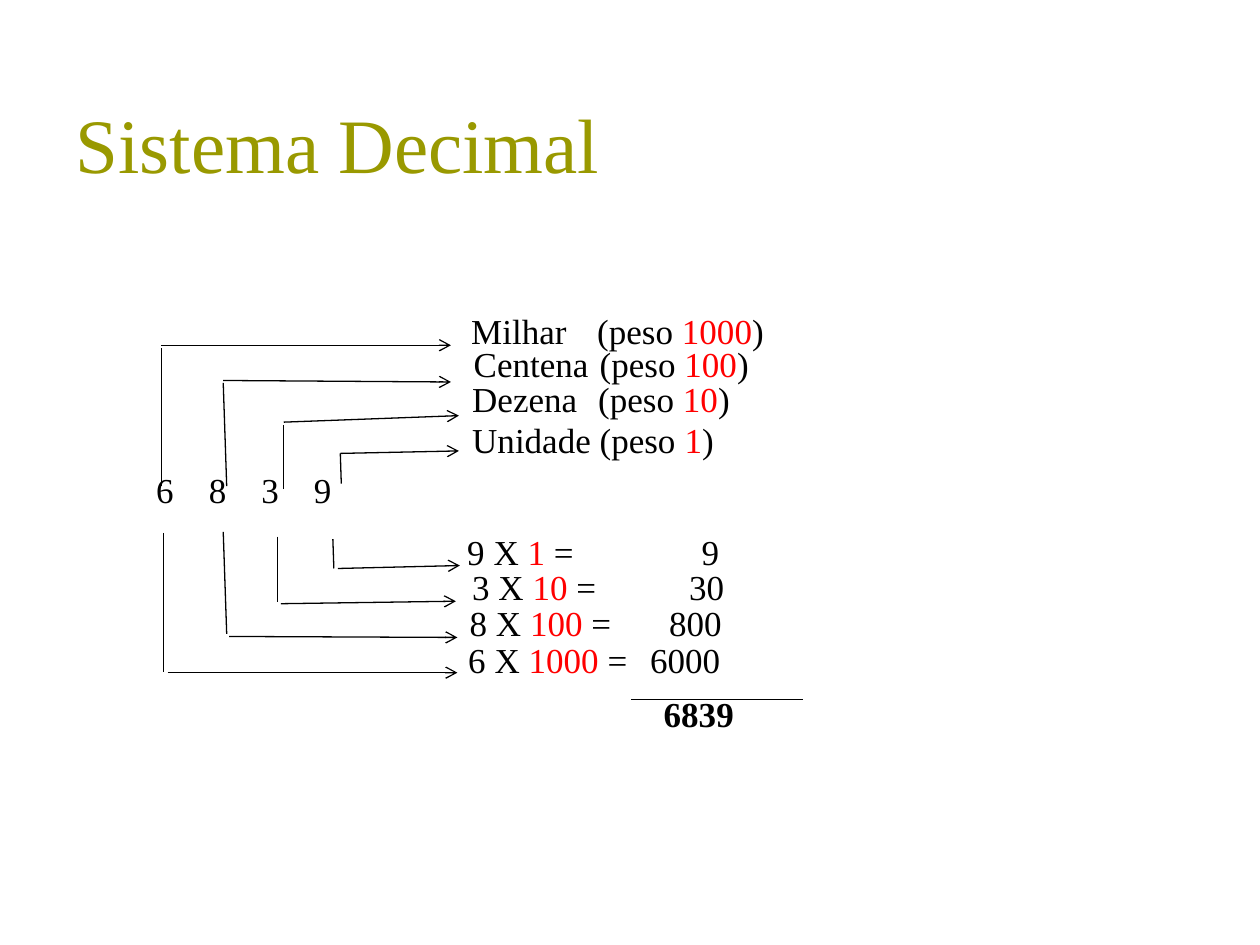
from dataclasses import dataclass

from lxml.etree import SubElement
from pptx import Presentation
from pptx.dml.color import RGBColor
from pptx.enum.shapes import MSO_CONNECTOR as CONN, MSO_SHAPE as SHAPE
from pptx.enum.text import MSO_ANCHOR as ANCHOR, PP_ALIGN as ALIGN
from pptx.oxml.ns import qn
from pptx.util import Cm, Pt


@dataclass(frozen=True)
class Theme:
    font: str = "Times New Roman"
    title: RGBColor = RGBColor(0x99, 0x99, 0x00)
    ink: RGBColor = RGBColor(0, 0, 0)
    accent: RGBColor = RGBColor(0xFF, 0, 0)
    paper: RGBColor = RGBColor(0xFF, 0xFF, 0xFF)
    title_size: Pt = Pt(44)
    text_size: Pt = Pt(20)
    line_width: Pt = Pt(0.75)


THEME = Theme()
LABEL_HEIGHT = 1.6

# Rows: label parts, label (left, top, width), stem and arrow (x1, y1, x2, y2),
# all in centimetres from the corner of the region
WEIGHTS = [
    (("Unidade (peso ", "1", ")"), (6.37, 2.19, 10.77),
     (3.98, 3.63, 3.96, 3.02), (3.96, 3.02, 6.35, 2.97)),
    (("Dezena \t(peso ", "10", ")"), (6.37, 1.37, 12.67),
     (2.82, 3.74, 2.82, 2.44), (2.82, 2.39, 6.35, 2.26)),
    (("Centena \t(peso ", "100", ")"), (6.4, 0.66, 11.61),
     (1.67, 3.68, 1.6, 1.6), (1.6, 1.55, 6.19, 1.58)),
    (("Milhar \t(peso ", "1000", ")"), (6.35, 0, 12.52),
     (0.35, 3.68, 0.35, 0.89), (0.35, 0.84, 6.19, 0.84)),
]
PRODUCTS = [
    (("9 X ", "1", " =\t9"), (6.27, 0, 14.53),
     (3.81, 0.3, 3.83, 0.89), (3.91, 0.89, 6.37, 0.83)),
    (("3 X ", "10", " =\t30"), (6.37, 0.71, 13.16),
     (2.69, 0.25, 2.69, 1.57), (2.76, 1.6, 6.29, 1.55)),
    (("8 X ", "100", " =\t800"), (6.32, 1.44, 11.25),
     (1.6, 0.15, 1.67, 2.21), (1.72, 2.26, 6.32, 2.28)),
    (("6 X ", "1000", " =\t6000"), (6.29, 2.18, 12.55),
     (0.4, 0.17, 0.4, 2.97), (0.48, 2.99, 6.32, 2.99)),
]


def style_run(r, color, size=THEME.text_size, bold=False):
    r.font.name = THEME.font
    r.font.size = size
    r.font.bold = bold
    r.font.color.rgb = color


def add_tabs(p, stops, align="l"):
    tabs = SubElement(p._p.get_or_add_pPr(), qn("a:tabLst"))
    for stop in stops:
        SubElement(tabs, qn("a:tab"), pos=str(Cm(stop)), algn=align)


def add_line(slide, box, ends, arrow=False):
    left, top = box
    x1, y1, x2, y2 = ends
    line = slide.shapes.add_connector(
        CONN.STRAIGHT, Cm(left + x1), Cm(top + y1), Cm(left + x2), Cm(top + y2))
    line.line.color.rgb = THEME.ink
    line.line.width = THEME.line_width
    if arrow:
        SubElement(line.line._get_or_add_ln(), qn("a:tailEnd"), type="arrow")
    SubElement(line._element.spPr, qn("a:effectLst"))


def add_label(slide, box, place, parts, tab=None, align="l", bold=False):
    """Write the parts in one line, every second part in the accent colour."""
    left, top = box
    x, y, width = place
    sp = slide.shapes.add_textbox(
        Cm(left + x), Cm(top + y), Cm(width), Cm(LABEL_HEIGHT))
    tf = sp.text_frame
    tf.word_wrap = True
    p = tf.paragraphs[0]
    if tab:
        add_tabs(p, [tab], align)
    for i, part in enumerate(parts):
        r = p.add_run()
        r.text = part
        style_run(r, THEME.accent if i % 2 else THEME.ink, bold=bold)


def add_title(slide, box, text):
    sp = slide.shapes.title
    sp.left, sp.top, sp.width, sp.height = map(Cm, box)
    tf = sp.text_frame
    tf.text = text
    tf.vertical_anchor = ANCHOR.BOTTOM
    p = tf.paragraphs[0]
    p.alignment = ALIGN.LEFT
    style_run(p.runs[0], THEME.title, THEME.title_size)


def add_digits(slide, box, digits, pitch=1.06):
    sp = slide.shapes.add_shape(SHAPE.RECTANGLE, *map(Cm, box))
    sp.shadow.inherit = False
    sp.fill.solid()
    sp.fill.fore_color.rgb = THEME.paper
    sp.line.fill.background()
    tf = sp.text_frame
    tf.text = "\t".join(digits)
    tf.vertical_anchor = ANCHOR.TOP
    p = tf.paragraphs[0]
    p.alignment = ALIGN.LEFT
    add_tabs(p, [pitch * i for i in range(1, len(digits))])
    for r in p.runs:
        style_run(r, THEME.ink)


def add_rows(slide, box, rows, tab, align="l"):
    for parts, place, stem, arrow in rows:
        add_line(slide, box, stem)
        add_line(slide, box, arrow, arrow=True)
        add_label(slide, box, place, parts, tab, align)


def add_total(slide, box, total):
    add_line(slide, box, (0, 0.26, 3.45, 0.26))
    add_label(slide, box, (0.4, 0, 5.05), [total], bold=True)


def main():
    prs = Presentation()
    prs.slide_width, prs.slide_height = Cm(25.4), Cm(19.05)
    slide = prs.slides.add_slide(prs.slide_layouts[5])

    add_title(slide, (1.27, 0.76, 22.86, 3.18), "Sistema Decimal")
    add_digits(slide, (2.9, 9.32, 6.58, 1.93), "6839")
    # Place weights above the digits, products and their sum below
    add_rows(slide, (2.9, 6.12), WEIGHTS, tab=2.54)
    add_rows(slide, (2.9, 10.57), PRODUCTS, tab=5.08, align="r")
    add_total(slide, (12.73, 13.84), "6839")

    prs.save("out.pptx")


if __name__ == "__main__":
    main()
